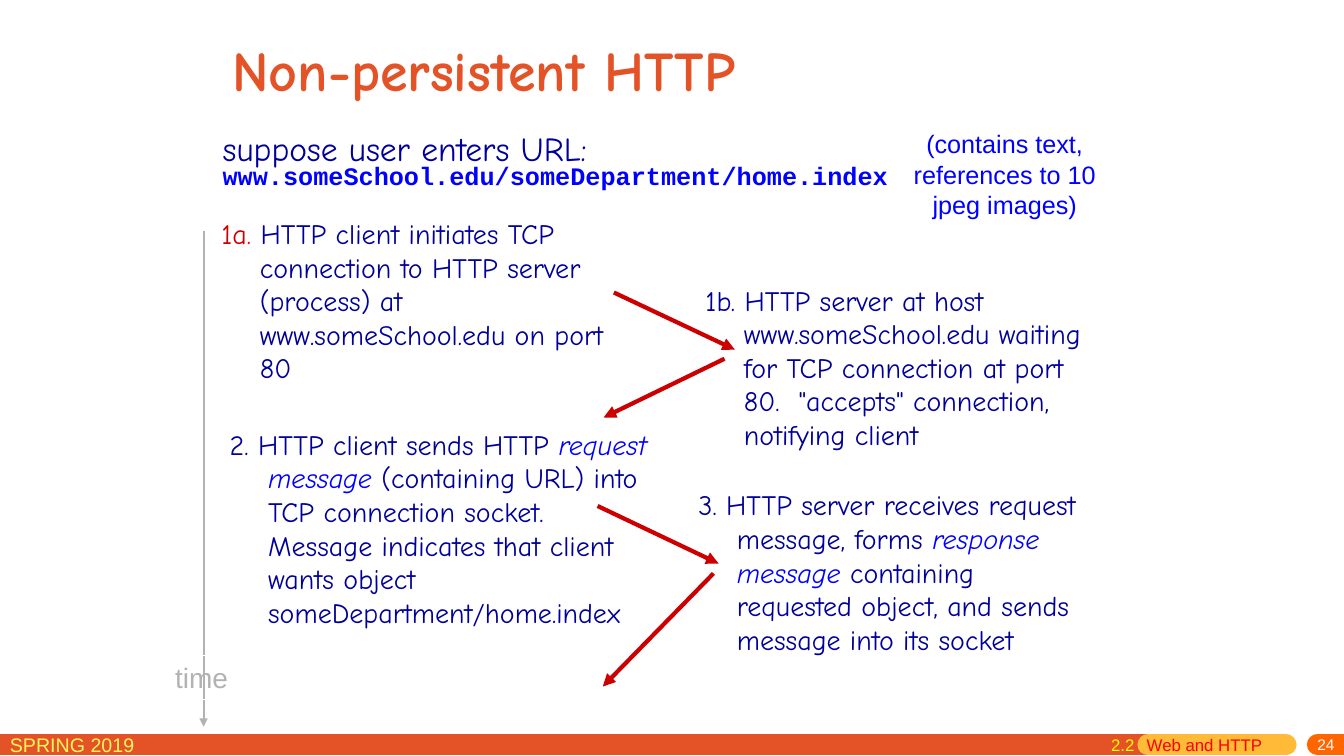
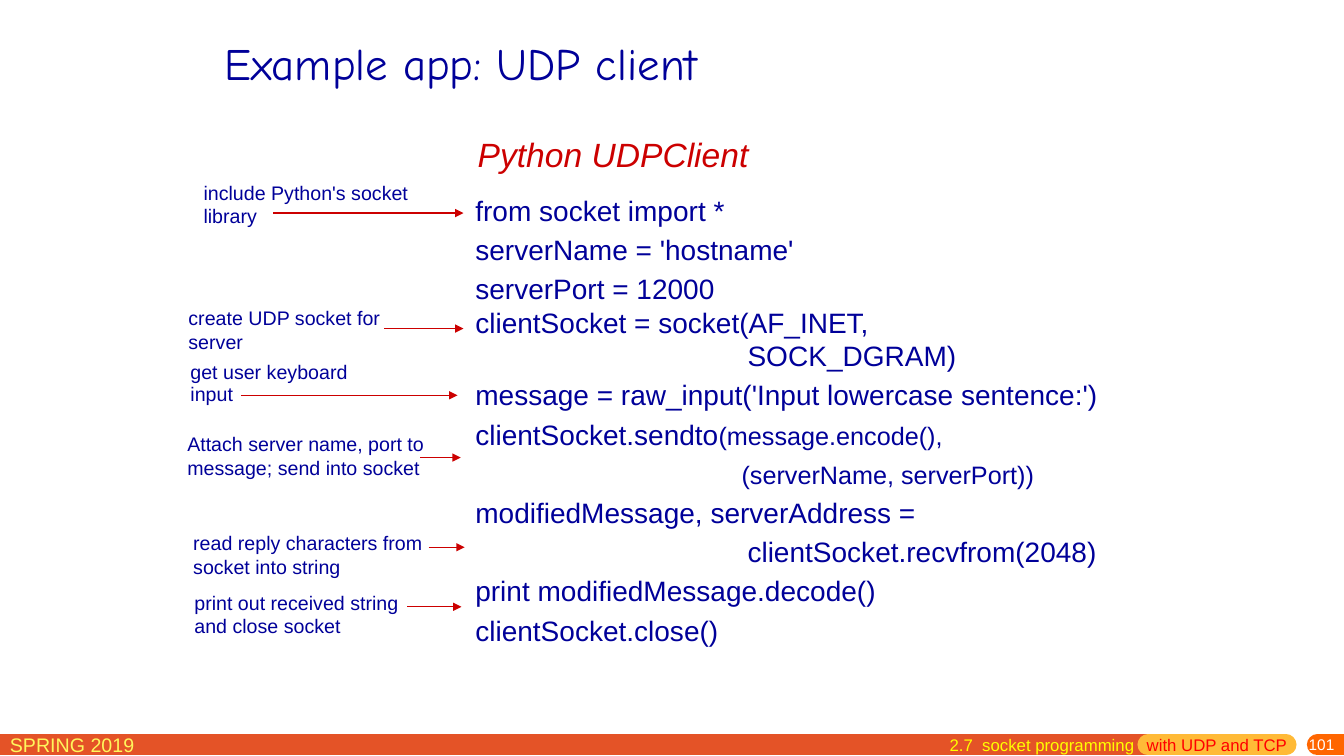
"""Build two networking lecture slides: non-persistent HTTP and a UDP client."""
from dataclasses import dataclass
from typing import Any, Optional, Sequence

import pptx
import pptx.dml.color
import pptx.enum.shapes
import pptx.enum.text
import pptx.oxml.ns
import pptx.util
from lxml import etree

Cm = pptx.util.Cm
Pt = pptx.util.Pt
Align = pptx.enum.text.PP_ALIGN
Anchor = pptx.enum.text.MSO_ANCHOR
Box = tuple[float, float, float, float]

COLOURS = {
    "navy": "000099", "blue": "0000FF", "dark_red": "CC0000", "red": "FF0000",
    "orange": "E45327", "amber": "FFBA37", "bright_orange": "FF6600",
    "lemon": "FFF65C", "yellow": "FFFF00", "grey": "B2B2B2", "white": "FFFFFF",
}
SANS, HAND, MONO = "Arial", "Comic Neue", "Courier New"
HANGING = 0.97
BAND_Y = 18.77


@dataclass(frozen=True)
class Run:
    """Text with the format that differs from its box."""
    text: str
    colour: Optional[str] = None
    size: Optional[float] = None
    italic: Optional[bool] = None


@dataclass(frozen=True)
class Paragraph:
    """Runs with their own indent and line spacing."""
    runs: Sequence[Run]
    indent: float = 0
    spacing: Any = None


@dataclass(frozen=True)
class Arrow:
    """A straight line from start to end, in centimetres."""
    start: tuple[float, float]
    end: tuple[float, float]
    colour: str = "dark_red"
    width: float = 3


@dataclass(frozen=True)
class Callout:
    """A two-line remark with a level arrow to the code."""
    text: str
    left: float
    top: float
    arrow_from: float
    arrow_to: float
    arrow_y: float
    spacing: Any = None


BAND = (
    Arrow((-0.46, BAND_Y), (28.93, BAND_Y), "orange", 15),
    Arrow((28.93, BAND_Y), (32.41, BAND_Y), "amber", 15),
    Arrow((33.2, BAND_Y), (34.54, BAND_Y), "bright_orange", 15),
)

TIMELINE = Arrow((5.13, 5.82), (5.13, 18.31), "grey", 1.5)
MESSAGES = (
    Arrow((15.06, 12.75), (18.11, 14.2)),
    Arrow((17.98, 14.45), (15.19, 17.3)),
    Arrow((15.47, 7.37), (18.52, 8.81)),
    Arrow((18.26, 9.04), (15.21, 10.52)),
)
STEPS: tuple[tuple[Box, tuple[Run, ...]], ...] = (
    ((5.33, 5.33, 10.95, 5.28), (
        Run("1a", "dark_red"), Run(".", "red"),
        Run(" HTTP client initiates TCP connection to HTTP server (process) at "
            "www.someSchool.edu on port 80"))),
    ((5.54, 10.64, 11.1, 6.81), (
        Run("2. HTTP client sends HTTP "),
        Run("request message", "blue", italic=True),
        Run(" (containing URL) into TCP connection socket. Message indicates "
            "that client wants object someDepartment/home.index"))),
    ((17.53, 7.01, 10.59, 4.19), (
        Run("1b. HTTP server at host www.someSchool.edu waiting for TCP "
            'connection at port 80.  "accepts" connection, notifying client'),)),
    ((17.35, 12.17, 10.59, 5), (
        Run("3. HTTP server receives request message, forms "),
        Run("response message", "blue", italic=True),
        Run(" containing requested object, and sends message into its socket"))),
)

CODE = (
    Paragraph([Run("from socket import *")]),
    Paragraph([Run("serverName = 'hostname'")]),
    Paragraph([Run("serverPort = 12000")]),
    Paragraph([Run("clientSocket = socket(AF_INET,")], spacing=Pt(24)),
    Paragraph([Run("SOCK_DGRAM)")], 6.86, Pt(24)),
    Paragraph([Run("message = raw_input('Input lowercase sentence:')")]),
    Paragraph([Run("clientSocket.sendto"), Run("(message.encode(),", size=18)]),
    Paragraph([Run("(serverName, serverPort))", size=18)], 6.71),
    Paragraph([Run("modifiedMessage, serverAddress =")]),
    Paragraph([Run("clientSocket.recvfrom(2048)")], 6.86),
    Paragraph([Run("print modifiedMessage.decode()")]),
    Paragraph([Run("clientSocket.close()")]),
)
CALLOUTS = (
    Callout("include Python's socket\nlibrary", 4.88, 4.47, 6.88, 11.68, 5.37, Pt(16)),
    Callout("create UDP socket for\nserver", 4.5, 7.59, 9.68, 11.68, 8.28),
    Callout("get user keyboard\ninput", 4.55, 8.97, 6.07, 11.53, 9.96, Pt(16)),
    Callout("Attach server name, port to\nmessage; send into socket",
            4.47, 10.77, 10.59, 11.61, 11.53),
    Callout("read reply characters from\nsocket into string",
            4.62, 13.26, 10.8, 11.71, 13.79),
    Callout("print out received string\nand close socket",
            4.65, 14.76, 10.26, 11.63, 15.29),
)


def rgb(name: str) -> pptx.dml.color.RGBColor:
    """Look up a palette colour."""
    return pptx.dml.color.RGBColor.from_string(COLOURS[name])


def write_text(shape: Any, content: str | Sequence[Paragraph], *, font: str = SANS,
               size: float = 20, colour: str = "navy", bold: bool = False,
               italic: bool = False, align: Any = Align.LEFT, anchor: Any = Anchor.TOP,
               hanging: float = 0, spacing: Any = None, wrap: bool = True) -> None:
    """Fill a shape with formatted paragraphs."""
    frame = shape.text_frame
    frame.word_wrap = wrap
    frame.vertical_anchor = anchor
    if isinstance(content, str):
        content = [Paragraph([Run(line)]) for line in content.split("\n")]
    for index, item in enumerate(content):
        paragraph = frame.add_paragraph() if index else frame.paragraphs[0]
        paragraph.alignment = align
        paragraph.line_spacing = item.spacing or spacing
        properties = paragraph._p.get_or_add_pPr()
        properties.set("marL", str(Cm(item.indent + hanging)))
        properties.set("indent", str(-Cm(hanging)))
        for part in item.runs:
            run = paragraph.add_run()
            run.text = part.text
            run.font.name = font
            run.font.size = Pt(part.size or size)
            run.font.bold = bold
            run.font.italic = italic if part.italic is None else part.italic
            run.font.color.rgb = rgb(part.colour or colour)


def add_text(shapes: Any, box: Box, content: str | Sequence[Paragraph],
             **text_format: Any) -> Any:
    """Add a text box placed in centimetres."""
    shape = shapes.add_textbox(*map(Cm, box))
    write_text(shape, content, **text_format)
    return shape


def add_line(shapes: Any, line: Arrow, head: bool = True) -> None:
    """Draw an arrow, or a round-ended bar when it has no head."""
    connector = shapes.add_connector(
        pptx.enum.shapes.MSO_CONNECTOR.STRAIGHT, *map(Cm, line.start + line.end))
    connector.line.color.rgb = rgb(line.colour)
    connector.line.width = Pt(line.width)
    outline = connector.line._get_or_add_ln()
    if head:
        tail = etree.SubElement(outline, pptx.oxml.ns.qn("a:tailEnd"))
        tail.set("type", "triangle")
    else:
        outline.set("cap", "rnd")
        etree.SubElement(outline, pptx.oxml.ns.qn("a:round"))
    etree.SubElement(connector._element.spPr, pptx.oxml.ns.qn("a:effectLst"))


def add_slide(presentation: Any, number: int, section: str, topic: str) -> Any:
    """Add a blank slide with the footer band."""
    shapes = presentation.slides.add_slide(presentation.slide_layouts[6]).shapes
    for bar in BAND:
        add_line(shapes, bar, head=False)
    add_text(shapes, (0, 18.34, 5.82, 0.79), "SPRING 2019", size=14, colour="lemon")
    page = add_text(shapes, (27.3, 18.59, 6.58, 0.46), str(number), size=11,
                    colour="white", align=Align.RIGHT, anchor=Anchor.MIDDLE)
    page.text_frame.margin_top = 0
    add_text(shapes, (22.8, 18.39, 6.04, 0.79), section, size=12, colour="yellow",
             align=Align.RIGHT)
    add_text(shapes, (28.65, 18.39, 4.3, 0.79), topic, size=12, colour="red")
    return shapes


def build_http(presentation: Any) -> None:
    """Build the non-persistent HTTP slide."""
    shapes = add_slide(presentation, 24, "2.2", "Web and HTTP")
    add_line(shapes, TIMELINE)
    add_text(shapes, (5.61, 0.53, 21.59, 2.41), "Non-persistent HTTP", font=HAND,
             size=40, colour="orange", bold=True, anchor=Anchor.MIDDLE)
    add_text(shapes, (5.36, 3.1, 17, 1.3), "suppose user enters URL:", font=HAND, size=24)
    for box, runs in STEPS:
        add_text(shapes, box, [Paragraph(runs)], font=HAND, hanging=HANGING)
    label = shapes.add_shape(pptx.enum.shapes.MSO_SHAPE.RECTANGLE,
                             *map(Cm, (4.14, 16.51, 1.88, 1.12)))
    label.shadow.inherit = False
    label.fill.background()
    label.line.color.rgb = rgb("white")
    label.line.width = Pt(0.75)
    write_text(label, "time", colour="grey", align=Align.CENTER, wrap=False)
    for message in MESSAGES:
        add_line(shapes, message)
    add_text(shapes, (22.68, 3.12, 5.28, 2.54),
             "(contains text,\nreferences to 10\njpeg images)",
             size=18, colour="blue", align=Align.CENTER, wrap=False)
    add_text(shapes, (5.36, 4.04, 22.07, 1.3),
             "www.someSchool.edu/someDepartment/home.index", font=MONO, size=18,
             colour="blue", bold=True, spacing=0.85)


def build_udp(presentation: Any) -> None:
    """Build the UDP client slide."""
    shapes = add_slide(presentation, 101, "2.7  socket programming", "with UDP and TCP")
    add_text(shapes, (5.41, 0.25, 21.59, 2.64), "Example app: UDP client", font=HAND,
             size=32, anchor=Anchor.MIDDLE)
    add_text(shapes, (11.73, 4.6, 16.8, 11.94), CODE, spacing=Pt(28))
    add_text(shapes, (11.79, 3.25, 7.62, 1.3), "Python UDPClient", size=24,
             colour="dark_red", italic=True, wrap=False)
    for callout in CALLOUTS:
        members = shapes.add_group_shape().shapes
        add_text(members, (callout.left, callout.top, 6.53, 1.42), callout.text,
                 size=14, spacing=callout.spacing, wrap=False)
        add_line(members, Arrow((callout.arrow_from, callout.arrow_y),
                                (callout.arrow_to, callout.arrow_y), width=1))


def main() -> None:
    """Build and save the presentation."""
    presentation = pptx.Presentation()
    presentation.slide_width = Cm(33.87)
    presentation.slide_height = Cm(19.05)
    build_http(presentation)
    build_udp(presentation)
    presentation.save("out.pptx")


if __name__ == "__main__":
    main()
